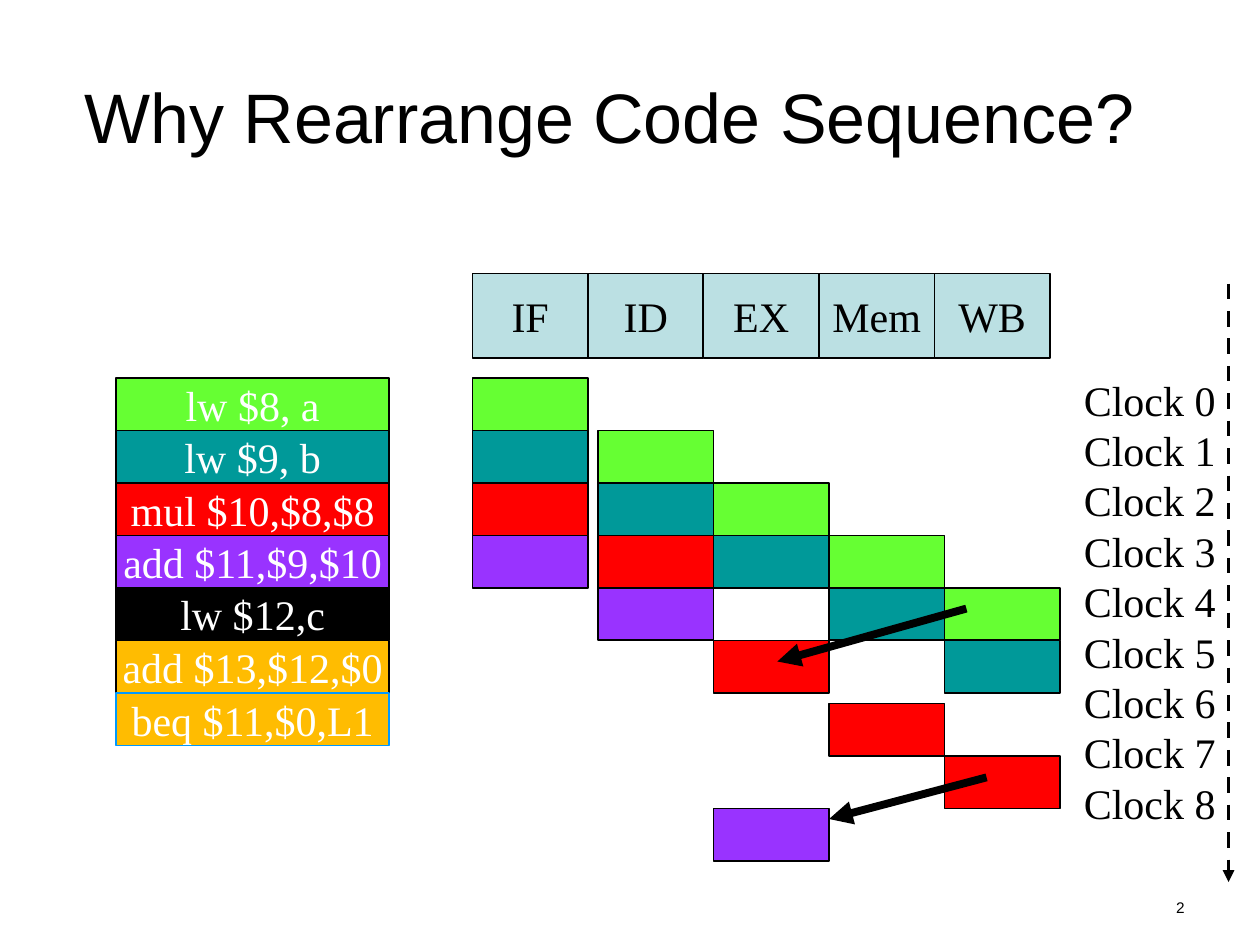
from dataclasses import dataclass
import pptx
import pptx.util
import pptx.dml.color
import pptx.enum.dml
import pptx.enum.shapes
import pptx.enum.text
from lxml import etree
from pptx.oxml.ns import qn

Inches = pptx.util.Inches
Pt = pptx.util.Pt
Align = pptx.enum.text.PP_ALIGN
Anchor = pptx.enum.text.MSO_ANCHOR

SERIF, SANS = "Times New Roman", "Arial"
BLACK, WHITE = "000000", "FFFFFF"
GREEN, TEAL, RED = "66FF33", "009999", "FF0000"
PURPLE, GOLD, BLUE, PALE = "9933FF", "FFBC01", "0099FF", "BBE0E3"

CELL = 11 / 12  # width of one pipeline stage
ROW = 5 / 12    # height of one clock step
LEFT, TOP = 3.75, 3.0


@dataclass
class Code:
    text: str
    fill: str
    steps: tuple = ()  # row of the instruction in each stage it reaches
    edge: str = BLACK


@dataclass
class Arrow:
    start: tuple
    end: tuple
    width: float
    dash: bool = False


CODES = [
    Code("lw $8, a", GREEN, (0, 1, 2, 3, 4)),
    Code("lw $9, b", TEAL, (1, 2, 3, 4, 5)),
    Code("mul $10,$8,$8", RED, (2, 3, 5, 6.2, 7.2)),
    Code("add $11,$9,$10", PURPLE, (3, 4, 8.2)),
    Code("lw $12,c", BLACK),
    Code("add $13,$12,$0", GOLD),
    Code("beq $11,$0,L1", GOLD, edge=BLUE),
]

ARROWS = [
    Arrow((7.67, 4.83), (6.17, 5.25), 4.5),
    Arrow((7.83, 6.17), (6.58, 6.5), 4.5),
    Arrow((9.75, 2.25), (9.75, 7), 2.25, dash=True),
]


def color(code: str) -> pptx.dml.color.RGBColor:
    return pptx.dml.color.RGBColor.from_string(code)


def style(par, size: float, face: str, ink: str, align) -> None:
    par.alignment = align
    par.font.size = Pt(size)
    par.font.name = face
    par.font.color.rgb = color(ink)


def label(slide, box: tuple, lines: list, size: float, face: str,
          align=Align.CENTER, anchor=Anchor.TOP, pitch: float = 0) -> None:
    frame = slide.shapes.add_textbox(*map(Inches, box)).text_frame
    frame.word_wrap = True
    frame.vertical_anchor = anchor
    frame.text = "\n".join(lines)
    for par in frame.paragraphs:
        style(par, size, face, BLACK, align)
        if pitch:
            par.line_spacing = Pt(pitch)


def block(slide, box: tuple, fill: str, edge: str = BLACK,
          text: str = "", ink: str = BLACK) -> None:
    shape = slide.shapes.add_shape(
        pptx.enum.shapes.MSO_SHAPE.RECTANGLE, *map(Inches, box))
    shape.shadow.inherit = False
    shape.fill.solid()
    shape.fill.fore_color.rgb = color(fill)
    shape.line.color.rgb = color(edge)
    shape.line.width = Pt(1)
    if text:
        frame = shape.text_frame
        frame.word_wrap = False
        frame.vertical_anchor = Anchor.MIDDLE
        frame.text = text
        style(frame.paragraphs[0], 24, SERIF, ink, Align.CENTER)


def draw(slide, arrow: Arrow) -> None:
    link = slide.shapes.add_connector(
        pptx.enum.shapes.MSO_CONNECTOR.STRAIGHT,
        *map(Inches, arrow.start + arrow.end))
    link.line.color.rgb = color(BLACK)
    link.line.width = Pt(arrow.width)
    if arrow.dash:
        link.line.dash_style = pptx.enum.dml.MSO_LINE.DASH
    props = link.element.spPr
    etree.SubElement(props.find(qn("a:ln")), qn("a:tailEnd"), type="triangle")
    etree.SubElement(props, qn("a:effectLst"))


def main() -> None:
    deck = pptx.Presentation()
    deck.slide_width, deck.slide_height = Inches(10), Inches(7.5)
    slide = deck.slides.add_slide(deck.slide_layouts[6])

    # Page number and title
    label(slide, (7.17, 7.08, 2.33, 0.27), ["2"], 8.8, SANS, Align.RIGHT)
    label(slide, (0.42, 0.25, 8.83, 1.33), ["Why Rearrange Code Sequence?"],
          40, SANS, anchor=Anchor.MIDDLE)

    # Stage heads
    for col, name in enumerate(["IF", "ID", "EX", "Mem", "WB"]):
        block(slide, (LEFT + col * CELL, 2.17, CELL, 0.67), PALE, text=name)

    # Path of each instruction; a small gap follows the first stage
    for code in CODES:
        for col, step in enumerate(code.steps):
            gap = 0.08 if col else 0
            block(slide, (LEFT + gap + col * CELL, TOP + step * ROW,
                          CELL, ROW), code.fill)

    # Code list
    for row, code in enumerate(CODES):
        block(slide, (0.92, TOP + row * ROW, 2.17, ROW), code.fill,
              code.edge, code.text, WHITE)

    # Clock labels
    label(slide, (8.5, 2.92, 1.25, 3.7), [f"Clock {n}" for n in range(9)],
          24, SERIF, pitch=28.8)

    # Forwarding arrows and time axis
    for arrow in ARROWS:
        draw(slide, arrow)

    deck.save("out.pptx")


if __name__ == "__main__":
    main()
